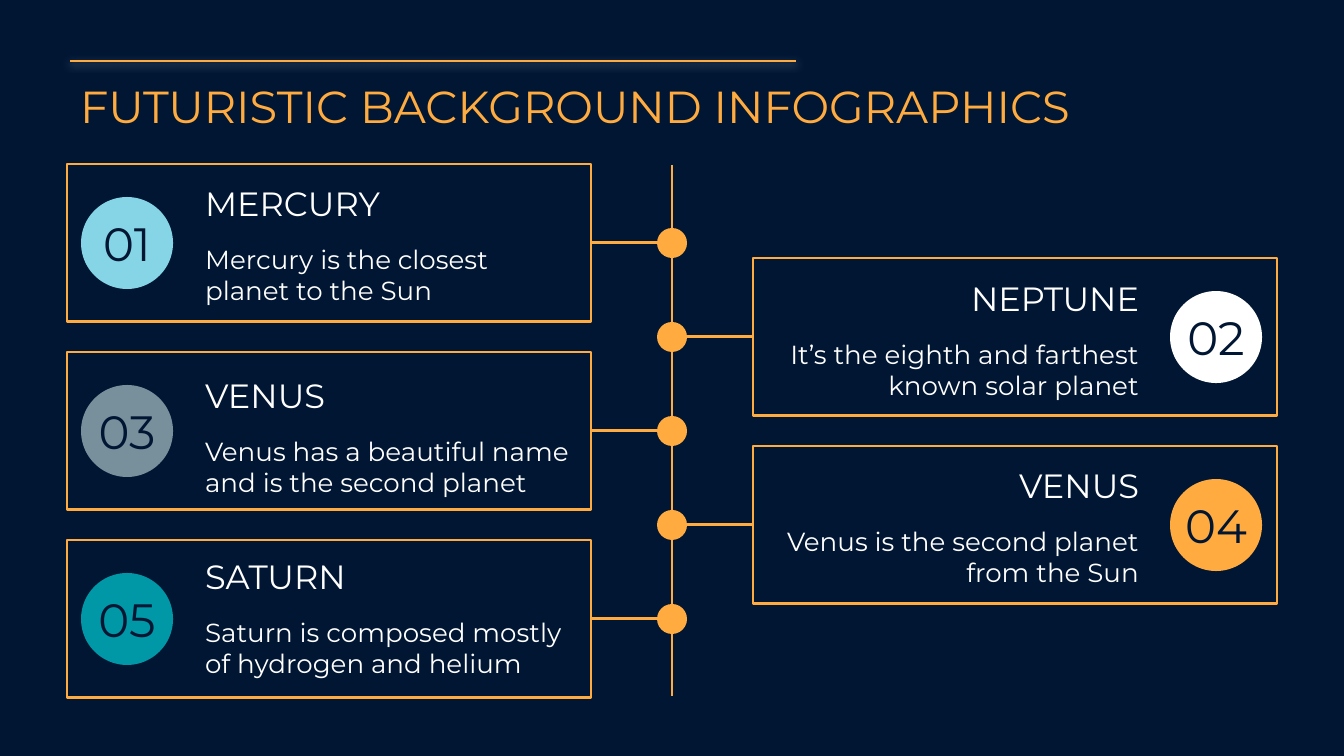
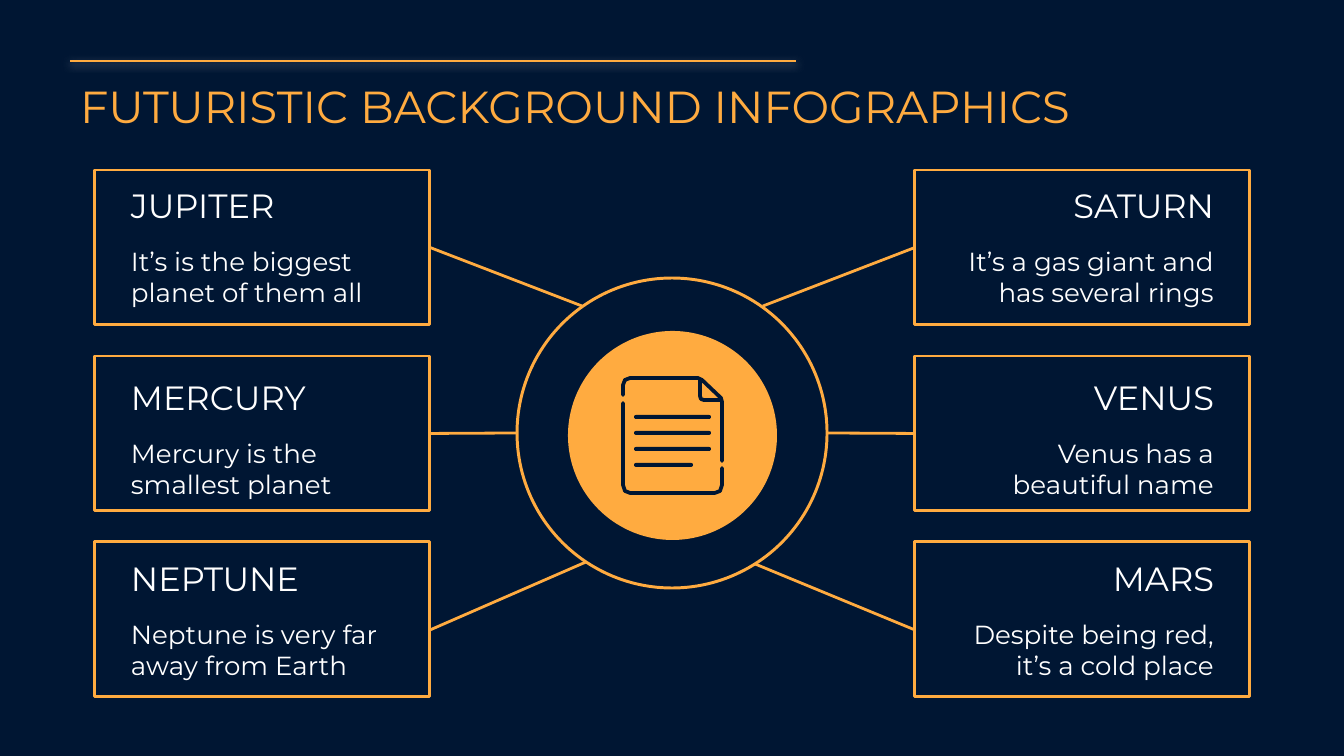
"""Build two futuristic infographic slides: a planet timeline and a planet hub."""
from lxml import etree
from pptx import Presentation
from pptx.dml.color import RGBColor
from pptx.enum.shapes import MSO_CONNECTOR, MSO_SHAPE
from pptx.enum.text import MSO_ANCHOR, PP_ALIGN
from pptx.oxml.ns import qn
from pptx.util import Pt

PX = 914400 / 134.4
FONT = "Montserrat"
TITLE = "FUTURISTIC BACKGROUND INFOGRAPHICS"
NAVY = RGBColor(0x00, 0x16, 0x33)
ORANGE = RGBColor(0xFF, 0xAB, 0x40)
WHITE = RGBColor(0xFF, 0xFF, 0xFF)
SKY = RGBColor(0x85, 0xD5, 0xE6)
GREY = RGBColor(0x78, 0x90, 0x9C)
TEAL = RGBColor(0x00, 0x97, 0xA7)
STRAIGHT = MSO_CONNECTOR.STRAIGHT
RECTANGLE = MSO_SHAPE.RECTANGLE
ROUNDED = MSO_SHAPE.ROUNDED_RECTANGLE
OVAL = MSO_SHAPE.OVAL
LEFT, CENTER, RIGHT = PP_ALIGN.LEFT, PP_ALIGN.CENTER, PP_ALIGN.RIGHT
TOP, MIDDLE, BOTTOM = MSO_ANCHOR.TOP, MSO_ANCHOR.MIDDLE, MSO_ANCHOR.BOTTOM
LEFT_SIDE, RIGHT_SIDE = 1, 3


def add_box(slide, kind, bounds, fill=None, outline=None, text="", size=14,
            color=WHITE, align=LEFT, anchor=TOP):
    frame = [round(value * PX) for value in bounds]
    if kind is None:
        shape = slide.shapes.add_textbox(*frame)
        margin = round(13 * PX)
    else:
        shape = slide.shapes.add_shape(kind, *frame)
        shape.shadow.inherit = False
        margin = 0
        if fill is None:
            shape.fill.background()
        else:
            shape.fill.solid()
            shape.fill.fore_color.rgb = fill
        if outline is None:
            shape.line.fill.background()
        else:
            shape.line.color.rgb = ORANGE
            shape.line.width = Pt(outline)
    if text:
        text_frame = shape.text_frame
        text_frame.word_wrap = True
        text_frame.vertical_anchor = anchor
        text_frame.margin_left = text_frame.margin_right = margin
        text_frame.margin_top = text_frame.margin_bottom = margin
        text_frame.text = text
        paragraph = text_frame.paragraphs[0]
        paragraph.alignment = align
        font = paragraph.runs[0].font
        font.name, font.size = FONT, Pt(size)
        font.color.rgb = color
    return shape


def add_line(slide, start, end, width):
    ends = [round(value * PX) for value in (*start, *end)]
    connector = slide.shapes.add_connector(STRAIGHT, *ends)
    connector.line.color.rgb = ORANGE
    connector.line.width = Pt(width)
    etree.SubElement(connector._element.spPr, qn("a:effectLst"))
    return connector


presentation = Presentation()
presentation.slide_width = round(1344 * PX)
presentation.slide_height = round(756 * PX)
slides = [presentation.slides.add_slide(presentation.slide_layouts[6]) for _ in range(2)]
timeline, hub = slides

for slide in slides:
    slide.background.fill.solid()
    slide.background.fill.fore_color.rgb = NAVY
    rule = add_line(slide, (70, 61), (796, 61), 0.75)
    effects = rule._element.spPr.find(qn("a:effectLst"))
    glow = etree.SubElement(effects, qn("a:outerShdw"), blurRad="57150", dist="19050",
                            dir="5400000", algn="bl", rotWithShape="0")
    glow_color = etree.SubElement(glow, qn("a:srgbClr"), val=str(WHITE))
    etree.SubElement(glow_color, qn("a:alpha"), val="50000")
    add_box(slide, None, (67, 66, 1176, 70), text=TITLE, size=24, color=ORANGE)

captions = []

PLANETS = [
    (SKY, 155, "MERCURY", "Mercury is the closest planet to the Sun"),
    (WHITE, 250, "NEPTUNE", "It’s the eighth and farthest known solar planet"),
    (GREY, 347, "VENUS", "Venus has a beautiful name and is the second planet"),
    (ORANGE, 437, "VENUS", "Venus is the second planet from the Sun"),
    (TEAL, 528, "SATURN", "Saturn is composed mostly of hydrogen and helium"),
]
SPINE = 672
add_line(timeline, (SPINE, 165), (SPINE, 696), 1.6)
for index, (color, caption_top, heading, description) in enumerate(PLANETS):
    top = 164 + 94 * index
    middle = top + 79
    if index % 2 == 0:
        card_left, badge_left, caption_left = 67, 81, 192
        inner_edge, side, align = 591, RIGHT_SIDE, LEFT
    else:
        card_left, badge_left, caption_left = 753, 1170, 753
        inner_edge, side, align = 753, LEFT_SIDE, RIGHT
    card = add_box(timeline, RECTANGLE, (card_left, top, 524, 158), outline=1.5)
    branch = add_line(timeline, (inner_edge, middle), (SPINE, middle), 1.6)
    branch.begin_connect(card, side)
    add_box(timeline, OVAL, (SPINE - 15, middle - 15, 30, 30), fill=ORANGE)
    add_box(timeline, OVAL, (badge_left, middle - 46, 92, 92), fill=color,
            text=f"{index + 1:02}", size=25, color=NAVY, align=CENTER, anchor=MIDDLE)
    captions.append((timeline, caption_left, caption_top, 399, align, heading, description))

HUB_SIDES = [
    (95, 118, 430, RIGHT_SIDE, LEFT, [
        ((582, 306), "JUPITER", "It’s is the biggest planet of them all"),
        ((517, 433), "MERCURY", "Mercury is the smallest planet"),
        ((586, 562), "NEPTUNE", "Neptune is very far away from Earth"),
    ]),
    (915, 938, 915, LEFT_SIDE, RIGHT, [
        ((763, 306), "SATURN", "It’s a gas giant and has several rings"),
        ((827, 433), "VENUS", "Venus has a beautiful name"),
        ((755, 564), "MARS", "Despite being red, it’s a cold place"),
    ]),
]
SPOKE_TOPS = [247, 433, 630]
HUB_CAPTION_TOPS = [157, 349, 530]
for card_left, caption_left, inner_edge, side, align, planets in HUB_SIDES:
    for row, (ring_point, heading, description) in enumerate(planets):
        card = add_box(hub, RECTANGLE, (card_left, 170 + 186 * row, 335, 155), outline=1.6)
        spoke = add_line(hub, (inner_edge, SPOKE_TOPS[row]), ring_point, 1.5)
        if row < 2:
            spoke.begin_connect(card, side)
        captions.append((hub, caption_left, HUB_CAPTION_TOPS[row], 289, align,
                         heading, description))

add_box(hub, OVAL, (517, 278, 310, 310), outline=1.6)
add_box(hub, OVAL, (568, 331, 209, 209), fill=ORANGE)
for row, width in enumerate([77, 77, 77, 59]):
    text_line = add_box(hub, ROUNDED, (634, 415 + 16 * row, width, 4), fill=NAVY)
    text_line.adjustments[0] = 0.5

DOCUMENT_STROKES = [
    [(623, 395), (623, 385), (625, 380), (630, 378), (698, 378), (702, 380),
     (721, 398), (722, 402), (722, 461)],
    [(700, 379), (700, 396), (701, 399), (704, 400), (721, 400)],
    [(623, 403), (623, 485), (625, 491), (630, 493), (715, 493), (720, 491),
     (722, 485), (722, 468)],
]
for start, *points in DOCUMENT_STROKES:
    builder = hub.shapes.build_freeform(*start, scale=PX)
    builder.add_line_segments(points, close=False)
    stroke = builder.convert_to_shape()
    stroke.shadow.inherit = False
    stroke.fill.background()
    stroke.line.color.rgb = NAVY
    stroke.line.width = Pt(2)
    stroke._element.spPr.get_or_add_ln().set("cap", "rnd")

for slide, left, top, width, align, heading, description in captions:
    add_box(slide, None, (left, top, width, 81), text=heading, size=18,
            align=align, anchor=BOTTOM)
    add_box(slide, None, (left, top + 75, width, 94), text=description, align=align)

presentation.save("out.pptx")
